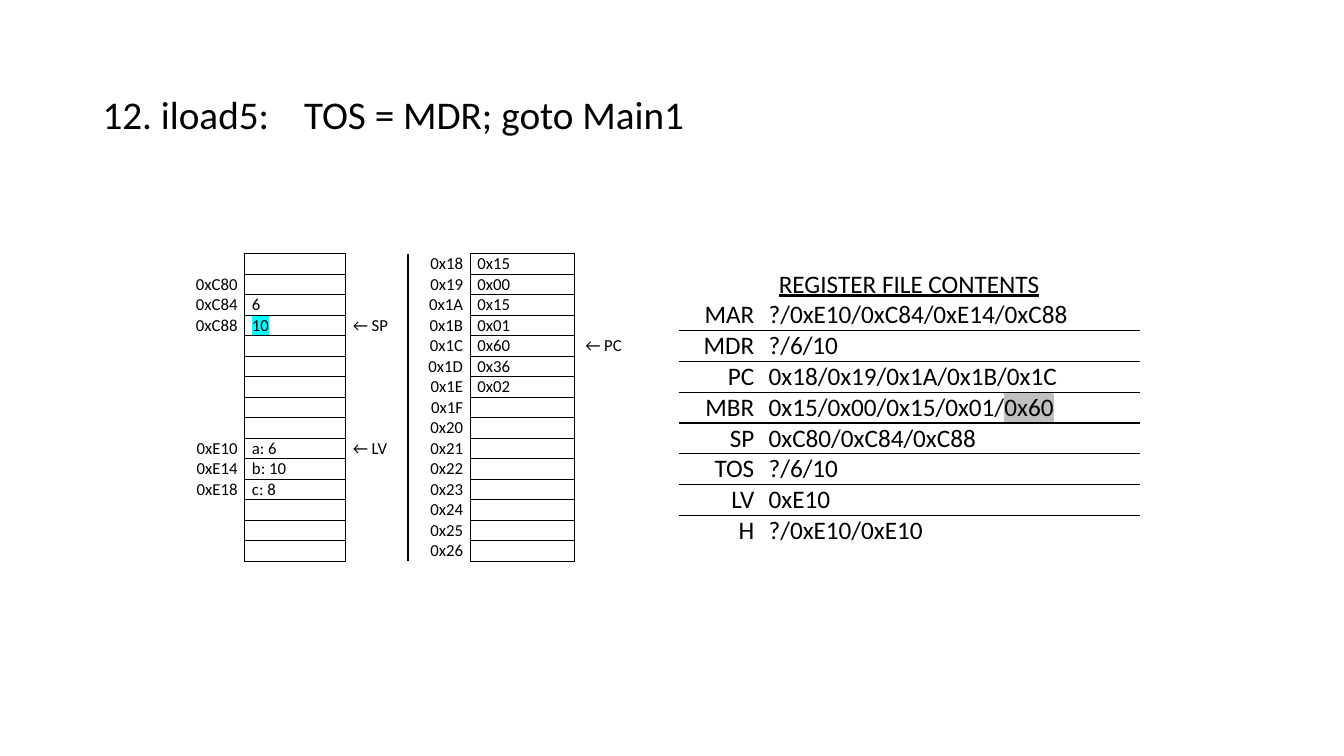
from lxml import etree
from pptx import Presentation
from pptx.dml.color import RGBColor as Rgb
from pptx.enum.text import MSO_ANCHOR as Anchor, PP_ALIGN as Align
from pptx.oxml.ns import qn
from pptx.util import Cm, Pt

HEAD = "12. iload5:\tTOS = MDR; goto Main1"
STACK = {
    1: ("0xC80", ""), 2: ("0xC84", "6"), 3: ("0xC88", "10"),
    9: ("0xE10", "a: 6"), 10: ("0xE14", "b: 10"), 11: ("0xE18", "c: 8"),
}
CODE = ["0x15", "0x00", "0x15", "0x01", "0x60", "0x36", "0x02"]
START, COUNT = 0x18, 15
LEFT = {3: "← SP", 9: "← LV"}
RIGHT = {4: "← PC"}
TITLE = "REGISTER FILE CONTENTS"
REGS = [
    ("MAR", "?/0xE10/0xC84/0xE14/0xC88"),
    ("MDR", "?/6/10"),
    ("PC", "0x18/0x19/0x1A/0x1B/0x1C"),
    ("MBR", "0x15/0x00/0x15/0x01/", "0x60"),
    ("SP", "0xC80/0xC84/0xC88"),
    ("TOS", "?/6/10"),
    ("LV", "0xE10"),
    ("H", "?/0xE10/0xE10"),
]
COLORS = {"ink": "000000", "top": "00FFFF", "fetch": "C0C0C0"}
FONT = "Calibri"
PLAIN = "{2D5ABB26-0587-4C30-8999-92F81FD0307C}"
SIDES = ["R", "LRTB", "L"] * 2


def style(para, size, align=Align.LEFT):
    para.alignment = align
    font = para.font
    font.name, font.size = FONT, Pt(size)
    font.color.rgb = Rgb.from_string(COLORS["ink"])


def mark(run, color):
    light = etree.SubElement(run._r.get_or_add_rPr(), qn("a:highlight"))
    etree.SubElement(light, qn("a:srgbClr"), val=COLORS[color])


def edge(cell, sides):
    props = cell._tc.get_or_add_tcPr()
    for i, side in enumerate(s for s in "LRTB" if s in sides):
        line = etree.Element(qn("a:ln" + side), w=str(Pt(1)))
        fill = etree.SubElement(line, qn("a:solidFill"))
        etree.SubElement(fill, qn("a:srgbClr"), val=COLORS["ink"])
        props.insert(i, line)


def grid(slide, left, top, widths, count, height):
    frame = slide.shapes.add_table(
        count, len(widths), Cm(left), Cm(top), Cm(sum(widths)), Cm(height * count))
    table = frame.table
    table.first_row = table.horz_banding = False
    table._tbl.tblPr.find(qn("a:tableStyleId")).text = PLAIN
    for col, width in zip(table.columns, widths):
        col.width = Cm(width)
    for row in table.rows:
        row.height = Cm(height)
    return table


def put(cell, text, size, align=Align.LEFT, sides="", pad=0.18):
    cell.margin_left, cell.margin_right = Cm(pad), Cm(0.18)
    cell.margin_top = cell.margin_bottom = 0
    cell.fill.background()
    para = cell.text_frame.paragraphs[0]
    style(para, size, align)
    if text:
        para.add_run().text = text
    edge(cell, sides)
    return para


def memory(slide):
    table = grid(slide, 4.72, 6.39, [1.45, 2.54, 1.57, 1.57, 2.62, 2.62], COUNT, 0.51)
    for r in range(COUNT):
        spot, value = STACK.get(r, ("", ""))
        byte = CODE[r] if r < len(CODE) else ""
        texts = [spot, value, LEFT.get(r, ""),
                 f"0x{START + r:X}", byte, RIGHT.get(r, "")]
        for c, text in enumerate(texts):
            align = Align.RIGHT if c % 3 == 0 else Align.LEFT
            para = put(table.cell(r, c), text, 12, align, SIDES[c],
                       0.28 if c == 5 else 0.18)
            if text == "10":
                mark(para.runs[0], "top")


def registers(slide):
    table = grid(slide, 17.1, 6.78, [2.09, 9.53], len(REGS) + 1, 0.77)
    table.cell(0, 0).merge(table.cell(0, 1))
    put(table.cell(0, 0), TITLE, 18, Align.CENTER).font.underline = True
    for r, (name, value, *last) in enumerate(REGS, 1):
        sides = ("T" if r > 1 else "") + ("B" if r < len(REGS) else "")
        put(table.cell(r, 0), name, 18, Align.RIGHT, sides)
        para = put(table.cell(r, 1), value, 18, sides=sides)
        for text in last:
            run = para.add_run()
            run.text = text
            mark(run, "fetch")


def main():
    deck = Presentation()
    deck.slide_width, deck.slide_height = Cm(33.87), Cm(19.05)
    slide = deck.slides.add_slide(deck.slide_layouts[5])
    head = slide.shapes.title
    head.left, head.top, head.width, head.height = Cm(2.33), Cm(2.29), Cm(29.21), Cm(1.3)
    head.text_frame.text = HEAD
    head.text_frame.vertical_anchor = Anchor.TOP
    para = head.text_frame.paragraphs[0]
    para.line_spacing = 0.9
    style(para, 28)
    memory(slide)
    registers(slide)
    deck.save("out.pptx")


if __name__ == "__main__":
    main()
